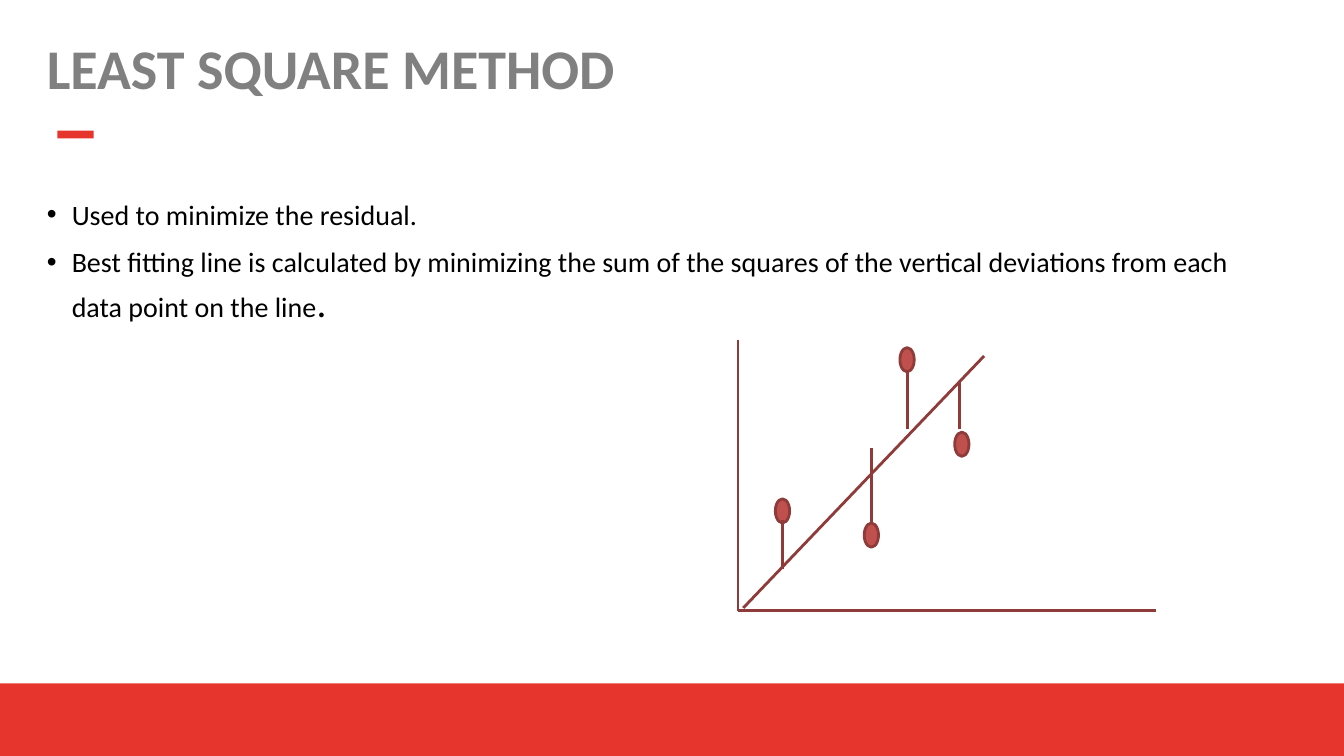
import dataclasses
import pptx
import pptx.dml.color
import pptx.enum.shapes
import pptx.enum.text
import pptx.oxml
import pptx.oxml.ns
import pptx.util
from pptx.util import Cm


@dataclasses.dataclass(frozen=True)
class Theme:
    """Colours, font and type sizes of the slide."""
    accent: str = "E6352C"
    heading: str = "808080"
    text: str = "000000"
    marker: str = "C0504D"
    line: str = "8E3B39"
    font: str = "Calibri"
    title_size: int = 40
    body_size: int = 20
    stop_size: int = 28
    line_width: int = 2


THEME = Theme()
# Line spacing, then the text pieces with their sizes
BULLETS = [
    (1.5, [("Used to minimize the residual.", THEME.body_size)]),
    (1.0, [("Best fitting line is calculated by minimizing the sum of the squares of the "
            "vertical deviations from each data point on the line", THEME.body_size),
           (".", THEME.stop_size)]),
]
MARKER_WIDTH, MARKER_HEIGHT = 0.36, 0.61
# Marker centre, marker top, residual position, residual start, residual end
RESIDUALS = [
    (1.12, 4.01, 1.12, 4.55, 5.79),
    (3.36, 4.62, 3.36, 4.62, 2.72),
    (4.26, 0.2, 4.26, 0.81, 2.26),
    (5.64, 2.33, 5.59, 2.26, 1.04),
]


def rgb(value):
    """Return a colour from its hexadecimal text."""
    return pptx.dml.color.RGBColor.from_string(value)


def apply(target, values):
    """Set each named attribute on the target."""
    for name, value in values.items():
        setattr(target, name, value)


def format_font(font, size, colour, bold=False):
    """Give a font the theme typeface with a size and colour."""
    apply(font, {"name": THEME.font, "size": pptx.util.Pt(size), "bold": bold})
    font.color.rgb = rgb(colour)


def format_frame(frame, horizontal, vertical):
    """Set the wrapping, insets and top anchor of a text frame."""
    apply(frame, {
        "word_wrap": True, "vertical_anchor": pptx.enum.text.MSO_ANCHOR.TOP,
        "auto_size": pptx.enum.text.MSO_AUTO_SIZE.NONE,
        "margin_left": Cm(horizontal), "margin_right": Cm(horizontal),
        "margin_top": Cm(vertical), "margin_bottom": Cm(vertical),
    })


def format_line(line):
    """Give an outline the plot colour and width."""
    line.color.rgb = rgb(THEME.line)
    line.width = pptx.util.Pt(THEME.line_width)


def add_filled(slide, kind, box, colour):
    """Add a flat preset shape without an outline."""
    shape = slide.shapes.add_shape(kind, *map(Cm, box))
    shape.shadow.inherit = False
    shape.fill.solid()
    shape.fill.fore_color.rgb = rgb(colour)
    shape.line.fill.background()
    return shape


def add_title(slide, box):
    """Place the heading in the title placeholder."""
    left, top, width, height = map(Cm, box)
    title = slide.shapes.title
    apply(title, {"left": left, "top": top, "width": width, "height": height})
    frame = title.text_frame
    format_frame(frame, 0.25, 0.25)
    frame.text = "LEAST SQUARE METHOD"
    paragraph = frame.paragraphs[0]
    apply(paragraph, {"alignment": pptx.enum.text.PP_ALIGN.LEFT, "line_spacing": 0.9})
    format_font(paragraph.runs[0].font, THEME.title_size, THEME.heading, True)


def add_bullet(paragraph):
    """Give a paragraph a hanging bullet in the text colour."""
    properties = paragraph._p.get_or_add_pPr()
    properties.set("marL", str(Cm(0.63)))
    properties.set("indent", str(Cm(-0.63)))
    namespace = pptx.oxml.ns.nsdecls("a")
    for markup in (
        f'<a:buClr {namespace}><a:srgbClr val="{THEME.text}"/></a:buClr>',
        f'<a:buFont {namespace} typeface="Arial"/>',
        f'<a:buChar {namespace} char="•"/>',
    ):
        properties.append(pptx.oxml.parse_xml(markup))


def add_body(slide, box):
    """Place the bulleted text in the box."""
    frame = slide.shapes.add_textbox(*map(Cm, box)).text_frame
    format_frame(frame, 0.25, 0.13)
    for index, (spacing, pieces) in enumerate(BULLETS):
        paragraph = frame.add_paragraph() if index else frame.paragraphs[0]
        apply(paragraph, {"line_spacing": spacing, "space_before": pptx.util.Pt(10)})
        add_bullet(paragraph)
        for text, size in pieces:
            run = paragraph.add_run()
            run.text = text
            format_font(run.font, size, THEME.text)


def add_plot(slide, box):
    """Draw the axes, fitted line, data points and residuals in the box."""
    left, top, width, height = box

    def add_line(start_x, start_y, end_x, end_y):
        """Draw a line between two points measured from the box corner."""
        connector = slide.shapes.add_connector(
            pptx.enum.shapes.MSO_CONNECTOR.STRAIGHT,
            Cm(left + start_x), Cm(top + start_y), Cm(left + end_x), Cm(top + end_y))
        format_line(connector.line)
        effects = f'<a:effectLst {pptx.oxml.ns.nsdecls("a")}/>'
        connector._element.spPr.append(pptx.oxml.parse_xml(effects))

    add_line(0, 0, 0, height)
    add_line(0, height, width, height)
    add_line(0.13, 6.76, 6.2, 0.41)
    for centre, marker_top, position, start, end in RESIDUALS:
        marker_box = (left + centre - MARKER_WIDTH / 2, top + marker_top,
                      MARKER_WIDTH, MARKER_HEIGHT)
        marker = add_filled(slide, pptx.enum.shapes.MSO_SHAPE.OVAL, marker_box, THEME.marker)
        format_line(marker.line)
        add_line(position, start, position, end)


def main():
    """Build the slide and save the presentation."""
    presentation = pptx.Presentation()
    apply(presentation, {"slide_width": Cm(33.87), "slide_height": Cm(19.05)})
    slide = presentation.slides.add_slide(presentation.slide_layouts[5])
    for box in ((0, 17.22, 33.87, 1.83), (1.45, 3.29, 0.91, 0.2)):
        add_filled(slide, pptx.enum.shapes.MSO_SHAPE.RECTANGLE, box, THEME.accent)
    add_title(slide, (0.93, 0.79, 29.21, 2.31))
    add_body(slide, (0.93, 4.42, 31.27, 12.29))
    add_plot(slide, (18.6, 8.56, 10.54, 6.83))
    presentation.save("out.pptx")


if __name__ == "__main__":
    main()
